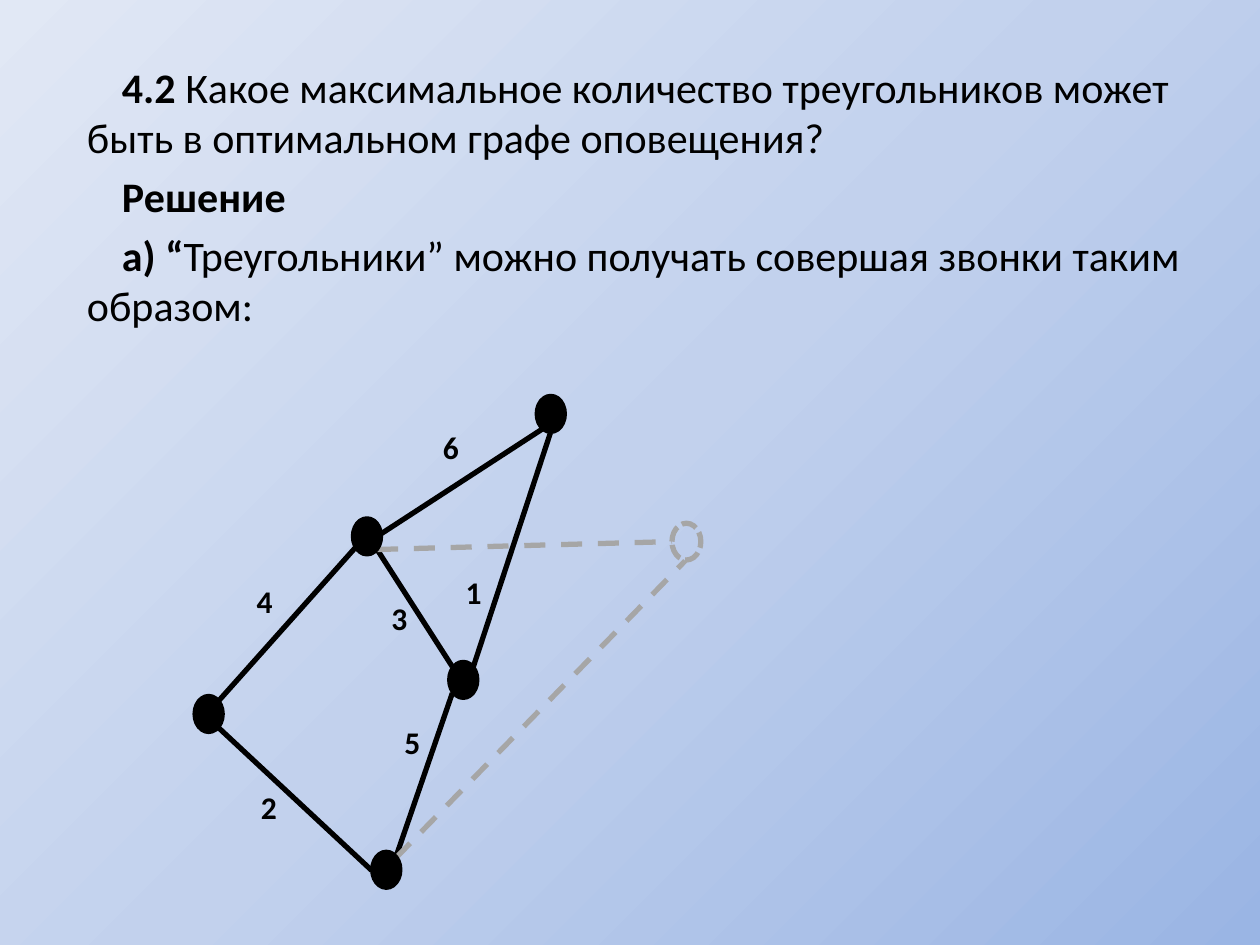
"""Build a slide with a problem statement and the call graph that answers it."""
from dataclasses import dataclass

from lxml.etree import SubElement
from pptx import Presentation
from pptx.dml.color import RGBColor as RGB
from pptx.enum.dml import MSO_LINE_DASH_STYLE as Dash
from pptx.enum.shapes import MSO_CONNECTOR as Connector, MSO_SHAPE as Shape
from pptx.enum.text import MSO_AUTO_SIZE as AutoSize
from pptx.oxml import parse_xml
from pptx.oxml.ns import nsdecls, qn
from pptx.util import Pt


@dataclass(frozen=True)
class Theme:
    font: str = "Calibri"
    ink: str = "000000"
    ghost: str = "A6A6A6"
    backdrop: tuple = ((0, "9AB5E4"), (50, "C2D1ED"), (100, "E1E8F5"))
    backdrop_angle: int = 225
    body_size: float = 24
    label_size: float = 18
    edge_width: float = 3
    node_outline: float = 2


THEME = Theme()
NODE_SIZE = (16.5, 21)
LABEL_SIZE = (34, 36)

STATEMENT = (
    ("4.2 ", "Какое максимальное количество треугольников может быть "
             "в оптимальном графе оповещения?"),
    ("Решение", ""),
    ("а) “", "Треугольники” можно получать совершая звонки таким образом:"),
)
CALLS = (
    ("1", (259, 324), (270.5, 381), (314.5, 247.5)),
    ("2", (142, 446.5), (124.5, 415.5), (212.5, 497.5)),
    ("3", (216.5, 339), (215.5, 314), (258.5, 381)),
    ("4", (139.5, 329), (124.5, 401), (215.5, 299)),
    ("5", (224, 409.5), (258.5, 396), (226, 490.5)),
    ("6", (246, 241), (204, 314), (322.5, 237)),
)
GHOST_CALLS = (
    ((215.5, 314), (384, 309.5)),
    ((226, 490.5), (391.5, 320.5)),
)
NODES = ((256.5, 378), (111, 397.5), (306.5, 226), (201.5, 296), (212.5, 486.5))
GHOST_NODE = (384, 299)


def points(*lengths):
    return [Pt(length) for length in lengths]


def paint_backdrop(slide):
    stops = "".join(
        f'<a:gs pos="{position * 1000}"><a:srgbClr val="{color}"/></a:gs>'
        for position, color in THEME.backdrop)
    gradient = parse_xml(
        f'<a:gradFill {nsdecls("a")} rotWithShape="1"><a:gsLst>{stops}</a:gsLst>'
        f'<a:lin ang="{THEME.backdrop_angle * 60000}" scaled="0"/></a:gradFill>')
    fill = slide.background.fill
    fill.solid()
    properties = slide.element.find(".//" + qn("p:bgPr"))
    properties.replace(properties.find(qn("a:solidFill")), gradient)


def set_font(paragraph, size):
    font = paragraph.font
    font.name, font.size = THEME.font, Pt(size)
    font.color.rgb = RGB.from_string(THEME.ink)
    return font


def write_statement(body):
    body.left, body.top, body.width, body.height = points(42.5, 31.5, 641.5, 451)
    frame = body.text_frame
    frame.auto_size = AutoSize.NONE
    for index, (lead, rest) in enumerate(STATEMENT):
        paragraph = frame.add_paragraph() if index else frame.paragraphs[0]
        properties = paragraph._p.get_or_add_pPr()
        properties.set("marL", "0")
        properties.set("indent", str(Pt(20)))
        SubElement(properties, qn("a:buNone"))
        set_font(paragraph, THEME.body_size)
        for words, bold in ((lead, True), (rest, False)):
            if words:
                run = paragraph.add_run()
                run.text, run.font.bold = words, bold


def style_line(line, color, width, dash=None):
    line.color.rgb = RGB.from_string(color)
    line.width = Pt(width)
    if dash:
        line.dash_style = dash


def add_edge(graph, start, end, color=THEME.ink, dash=None):
    edge = graph.shapes.add_connector(Connector.STRAIGHT, *points(*start, *end))
    style_line(edge.line, color, THEME.edge_width, dash)
    SubElement(edge._element.spPr, qn("a:effectLst"))


def add_node(graph, corner, ghost=False):
    node = graph.shapes.add_shape(Shape.OVAL, *points(*corner, *NODE_SIZE))
    node.shadow.inherit = False
    if ghost:
        node.fill.background()
        style_line(node.line, THEME.ghost, THEME.edge_width, Dash.SQUARE_DOT)
    else:
        node.fill.solid()
        node.fill.fore_color.rgb = RGB.from_string(THEME.ink)
        style_line(node.line, THEME.ink, THEME.node_outline)


def add_label(graph, number, corner):
    frame = graph.shapes.add_textbox(*points(*corner, *LABEL_SIZE)).text_frame
    frame.word_wrap = True
    frame.text = number
    set_font(frame.paragraphs[0], THEME.label_size).bold = True


def draw_graph(slide):
    graph = slide.shapes.add_group_shape()
    for number, corner, start, end in CALLS:
        add_edge(graph, start, end)
        add_label(graph, number, corner)
    for start, end in GHOST_CALLS:
        add_edge(graph, start, end, THEME.ghost, Dash.DASH)
    add_node(graph, GHOST_NODE, ghost=True)
    for corner in NODES:
        add_node(graph, corner)


def main():
    deck = Presentation()
    deck.slide_width, deck.slide_height = points(720, 540)
    slide = deck.slides.add_slide(deck.slide_layouts[1])
    title = slide.shapes.title.element
    title.getparent().remove(title)
    paint_backdrop(slide)
    write_statement(slide.placeholders[1])
    draw_graph(slide)
    deck.save("out.pptx")


main()
